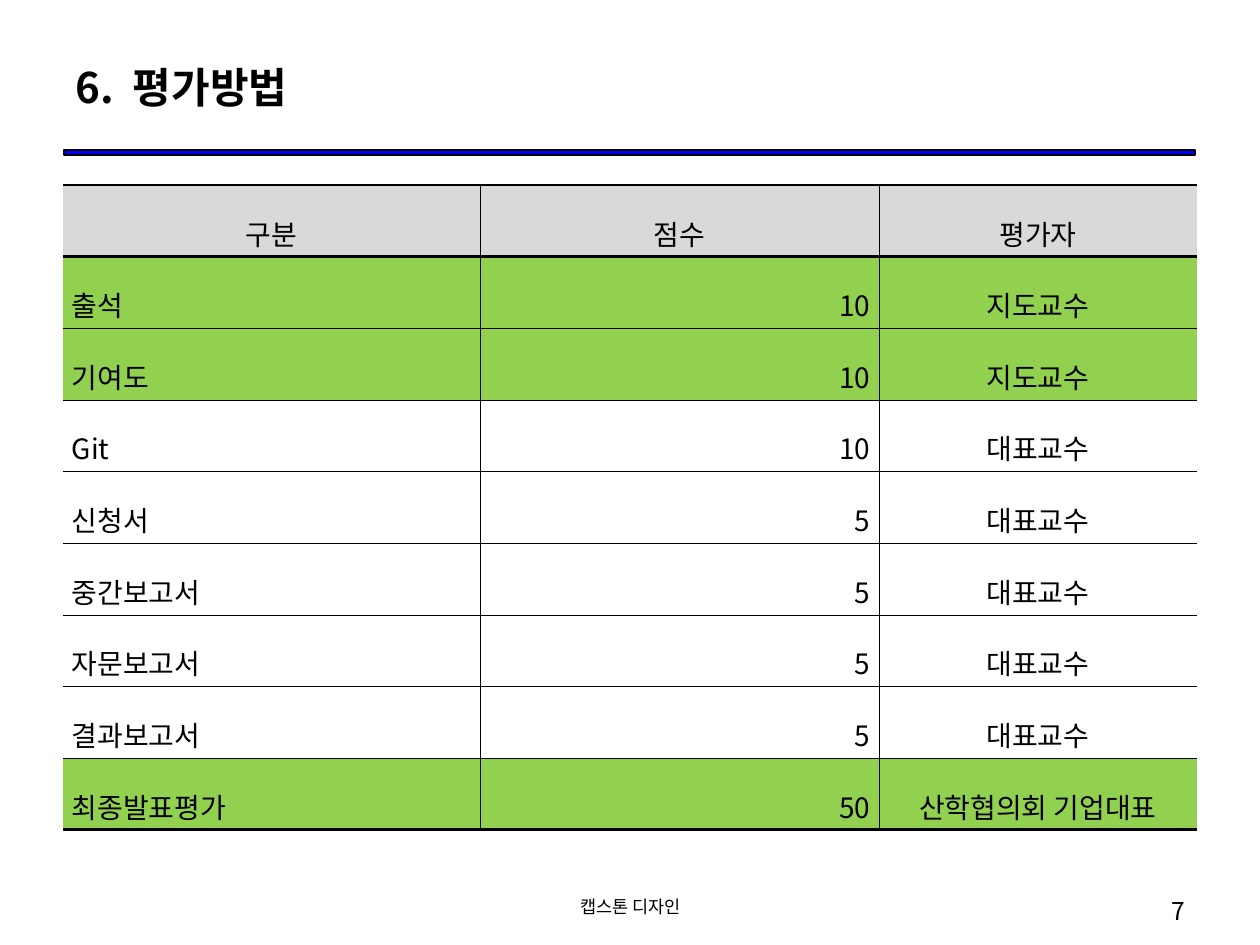
from lxml.etree import SubElement
from pptx import Presentation
from pptx.dml.color import RGBColor
from pptx.enum.shapes import MSO_SHAPE
from pptx.enum.text import MSO_ANCHOR, PP_ALIGN
from pptx.oxml.ns import qn
from pptx.util import Pt

TITLE = ("6.", " ", "평가방법")
FOOTER = "캡스톤 디자인"
PAGE = "7"
HEADER = ("구분", "점수", "평가자")
SCORES = [
    ("출석", "10", "지도교수"),
    ("기여도", "10", "지도교수"),
    ("Git", "10", "대표교수"),
    ("신청서", "5", "대표교수"),
    ("중간보고서", "5", "대표교수"),
    ("자문보고서", "5", "대표교수"),
    ("결과보고서", "5", "대표교수"),
    ("최종발표평가", "50", "산학협의회 기업대표"),
]
HIGHLIGHTED = ("출석", "기여도", "최종발표평가")

THEME = {
    "font": "Noto Sans CJK KR",
    "ink": "000000", "bar": "0000FF", "head": "D9D9D9", "highlight": "92D050",
    "title": 24, "cell": 16, "page": 14, "footer": 10,
    "thin": 0.28, "edge": 1.7, "head_rule": 1.98,
}
LEFT, TABLE_TOP, TABLE_HEIGHT = 63, 185, 645
COL_WIDTHS = (417, 399, 318)
COL_ALIGNS = (PP_ALIGN.JUSTIFY, PP_ALIGN.RIGHT, PP_ALIGN.CENTER)
CELL_FORMAT = {
    "vertical_anchor": MSO_ANCHOR.MIDDLE,
    "margin_left": 9, "margin_right": 9, "margin_top": 3, "margin_bottom": 3,
}
MARGINS = ("margin_left", "margin_right", "margin_top", "margin_bottom")


def px(n):
    return round(n * 914400 / 126)


def color(name):
    return RGBColor.from_string(THEME[name])


def write(p, text, size, bold=False):
    r = p.add_run()
    r.text = text
    for name, value in {"name": THEME["font"], "size": Pt(THEME[size]), "bold": bold}.items():
        setattr(r.font, name, value)
    r.font.color.rgb = color("ink")
    rPr = r._r.get_or_add_rPr()
    SubElement(rPr, qn("a:ea"), typeface=THEME["font"])
    return rPr


def add_text(slide, box, texts, size, align, anchor=MSO_ANCHOR.TOP, bold=False):
    tf = slide.shapes.add_textbox(*map(px, box)).text_frame
    tf.word_wrap = True
    tf.vertical_anchor = anchor
    p = tf.paragraphs[0]
    p.alignment = align
    return [write(p, text, size, bold) for text in texts]


def add_bar(slide):
    s = slide.shapes.add_shape(MSO_SHAPE.RECTANGLE, *map(px, (64, 150, 1131, 5)))
    s.shadow.inherit = False
    s.fill.solid()
    s.fill.fore_color.rgb = color("bar")
    s.line.color.rgb = color("ink")
    s.line.width = Pt(0.75)


def set_borders(cell, widths):
    tcPr = cell._tc.get_or_add_tcPr()
    for side, width in zip("LRTB", widths):
        ln = SubElement(tcPr, qn(f"a:ln{side}"), w=str(Pt(width)))
        if width:
            fill = SubElement(ln, qn("a:solidFill"))
            SubElement(fill, qn("a:srgbClr"), val=THEME["ink"])
        else:
            SubElement(ln, qn("a:noFill"))


def add_score_table(slide):
    rows = [HEADER, *SCORES]
    n_rows, n_cols = len(rows), len(HEADER)
    box = (LEFT, TABLE_TOP, sum(COL_WIDTHS), TABLE_HEIGHT)
    table = slide.shapes.add_table(n_rows, n_cols, *map(px, box)).table
    table.horz_banding = False
    table.first_row = False
    for col, width in zip(table.columns, COL_WIDTHS):
        col.width = px(width)
    for row in table.rows:
        row.height = px(TABLE_HEIGHT / n_rows)

    thin, edge = THEME["thin"], THEME["edge"]
    h_rules = [edge, THEME["head_rule"]] + [thin] * (n_rows - 2) + [edge]
    v_rules = [0] + [thin] * (n_cols - 1) + [0]
    for i, texts in enumerate(rows):
        fill = "head" if i == 0 else "highlight" if texts[0] in HIGHLIGHTED else None
        for j, text in enumerate(texts):
            cell = table.cell(i, j)
            for name, value in CELL_FORMAT.items():
                setattr(cell, name, px(value) if name in MARGINS else value)
            set_borders(cell, v_rules[j:j + 2] + h_rules[i:i + 2])
            if fill:
                cell.fill.solid()
                cell.fill.fore_color.rgb = color(fill)
            else:
                cell.fill.background()
            p = cell.text_frame.paragraphs[0]
            p.alignment = COL_ALIGNS[j] if i else PP_ALIGN.CENTER
            p.line_spacing = 1.6
            write(p, text, "cell")


def main():
    prs = Presentation()
    prs.slide_width, prs.slide_height = px(1260), px(945)
    slide = prs.slides.add_slide(prs.slide_layouts[6])
    add_bar(slide)
    number, gap, name = add_text(slide, (LEFT, 38, 1134, 97), TITLE, "title",
                                 PP_ALIGN.LEFT, MSO_ANCHOR.MIDDLE, True)
    gap.set("spc", "540")
    add_text(slide, (431, 890, 399, 37), [FOOTER], "footer", PP_ALIGN.CENTER)
    add_text(slide, (903, 890, 294, 37), [PAGE], "page", PP_ALIGN.RIGHT)
    add_score_table(slide)
    prs.save("out.pptx")


if __name__ == "__main__":
    main()
